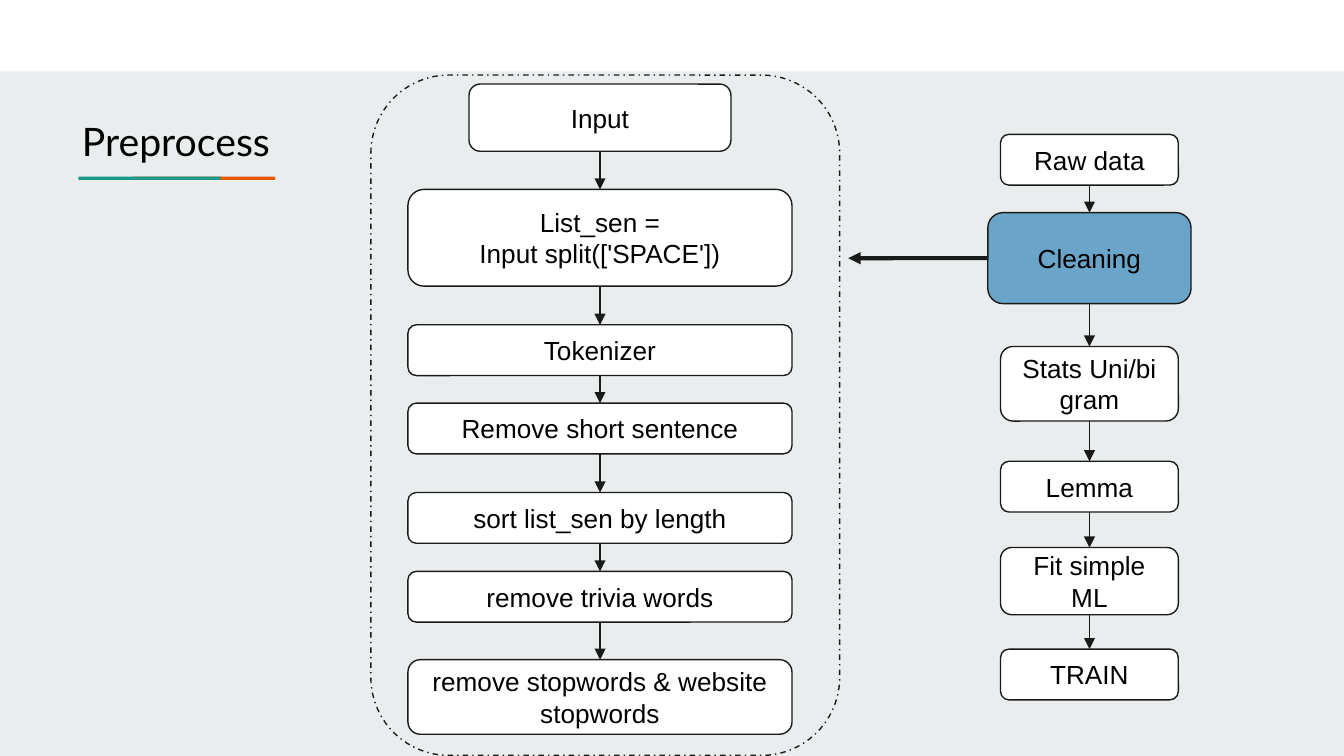
from dataclasses import dataclass

from lxml import etree
from pptx import Presentation
from pptx.dml.color import RGBColor
from pptx.enum.dml import MSO_LINE
from pptx.enum.shapes import MSO_CONNECTOR, MSO_SHAPE
from pptx.enum.text import MSO_ANCHOR, MSO_AUTO_SIZE, PP_ALIGN
from pptx.oxml.ns import qn
from pptx.util import Cm, Pt

RECT = MSO_SHAPE.RECTANGLE
ROUNDED = MSO_SHAPE.ROUNDED_RECTANGLE
STRAIGHT = MSO_CONNECTOR.STRAIGHT
DASH_DOT = MSO_LINE.DASH_DOT
MIDDLE = MSO_ANCHOR.MIDDLE
CENTER, LEFT = PP_ALIGN.CENTER, PP_ALIGN.LEFT
GROW = MSO_AUTO_SIZE.SHAPE_TO_FIT_TEXT

# Connection sites of a rounded rectangle
TOP_SITE, LEFT_SITE, BOTTOM_SITE = 0, 1, 2


@dataclass(frozen=True)
class Theme:
    background: str = "E9EDEE"
    white: str = "FFFFFF"
    ink: str = "1A1A1A"
    text: str = "000000"
    teal: str = "1A9988"
    orange: str = "EB5600"
    blue: str = "6AA4C8"
    title_font: str = "Lato"
    body_font: str = "Arial"
    title_size: float = 21
    body_size: float = 14
    thin: float = 0.75
    thick: float = 2.25
    inset: float = 0.25


@dataclass(frozen=True)
class Step:
    """One box of a flow; lengths in centimetres."""
    text: str
    top: float
    height: float
    width: float
    fill: str


THEME = Theme()
MAIN_CENTER, MAIN_WIDTH = 11.34, 7.26
SIDE_CENTER, SIDE_WIDTH = 20.59, 3.36
ROW = 0.96

CLEANING_STEPS = [
    Step("Input", 1.59, 1.27, 4.95, THEME.white),
    Step("List_sen =\nInput split(['SPACE'])", 3.58, 1.83, MAIN_WIDTH, THEME.white),
    Step("Tokenizer", 6.14, ROW, MAIN_WIDTH, THEME.white),
    Step("Remove short sentence", 7.62, ROW, MAIN_WIDTH, THEME.white),
    Step("sort list_sen by length", 9.31, ROW, MAIN_WIDTH, THEME.white),
    Step("remove trivia words", 10.8, ROW, MAIN_WIDTH, THEME.white),
    Step("remove stopwords & website stopwords", 12.47, 1.41, MAIN_WIDTH, THEME.white),
]
PIPELINE_STEPS = [
    Step("Raw data", 2.54, ROW, SIDE_WIDTH, THEME.white),
    Step("Cleaning", 4.02, 1.72, 3.84, THEME.blue),
    Step("Stats Uni/bi gram", 6.55, 1.41, SIDE_WIDTH, THEME.white),
    Step("Lemma", 8.72, ROW, SIDE_WIDTH, THEME.white),
    Step("Fit simple ML", 10.35, 1.27, SIDE_WIDTH, THEME.white),
    Step("TRAIN", 12.27, ROW, SIDE_WIDTH, THEME.white),
]


def rgb(color: str) -> RGBColor:
    return RGBColor.from_string(color)


def add_block(s, kind, left: float, top: float, width: float, height: float,
              fill: str | None = None, outlined: bool = False):
    sp = s.shapes.add_shape(kind, Cm(left), Cm(top), Cm(width), Cm(height))
    sp.shadow.inherit = False
    if fill:
        sp.fill.solid()
        sp.fill.fore_color.rgb = rgb(fill)
    else:
        sp.fill.background()
    if outlined:
        sp.line.color.rgb = rgb(THEME.ink)
        sp.line.width = Pt(THEME.thin)
    else:
        sp.line.fill.background()
    return sp


def write_text(sp, text: str, font: str, size: float, align) -> None:
    tf = sp.text_frame
    tf.word_wrap = True
    tf.margin_left = tf.margin_right = Cm(THEME.inset)
    tf.margin_top = tf.margin_bottom = Cm(THEME.inset)
    for i, line in enumerate(text.split("\n")):
        p = tf.add_paragraph() if i else tf.paragraphs[0]
        p.alignment = align
        r = p.add_run()
        r.text = line
        r.font.name = font
        r.font.size = Pt(size)
        r.font.color.rgb = rgb(THEME.text)


def add_step(s, step: Step, center: float):
    sp = add_block(s, ROUNDED, center - step.width / 2, step.top,
                   step.width, step.height, step.fill, outlined=True)
    write_text(sp, step.text, THEME.body_font, THEME.body_size, CENTER)
    sp.text_frame.vertical_anchor = MIDDLE
    return sp


def add_arrow(s, x1: float, y1: float, x2: float, y2: float, width: float):
    line = s.shapes.add_connector(STRAIGHT, Cm(x1), Cm(y1), Cm(x2), Cm(y2))
    line.line.color.rgb = rgb(THEME.ink)
    line.line.width = Pt(width)
    etree.SubElement(line.line._get_or_add_ln(), qn("a:tailEnd"), type="triangle")
    etree.SubElement(line._element.spPr, qn("a:effectLst"))
    return line


def add_flow(s, steps: list[Step], center: float) -> list:
    """Draw a column of steps and link each one to the next."""
    boxes = [add_step(s, step, center) for step in steps]
    for i in range(len(steps) - 1):
        bottom = steps[i].top + steps[i].height
        arrow = add_arrow(s, center, bottom, center, steps[i + 1].top, THEME.thin)
        arrow.begin_connect(boxes[i], BOTTOM_SITE)
        arrow.end_connect(boxes[i + 1], TOP_SITE)
    return boxes


def add_title(s) -> None:
    add_block(s, RECT, 2.51, 3.34, 2.69, 0.06, THEME.orange)
    add_block(s, RECT, 1.48, 3.34, 2.69, 0.06, THEME.teal)
    sp = s.shapes.add_textbox(Cm(1.3), Cm(1.96), Cm(4.45), Cm(1.42))
    write_text(sp, "Preprocess", THEME.title_font, THEME.title_size, LEFT)
    sp.text_frame.auto_size = GROW


def main() -> None:
    prs = Presentation()
    prs.slide_width, prs.slide_height = Cm(25.4), Cm(14.29)
    s = prs.slides.add_slide(prs.slide_layouts[6])
    s.background.fill.solid()
    s.background.fill.fore_color.rgb = rgb(THEME.background)

    add_block(s, RECT, 0, 0, 25.4, 1.35, THEME.white)
    frame = add_block(s, ROUNDED, 7.01, 1.42, 8.86, 12.86, outlined=True)
    frame.line.dash_style = DASH_DOT
    add_title(s)

    add_flow(s, CLEANING_STEPS, MAIN_CENTER)
    pipeline = add_flow(s, PIPELINE_STEPS, SIDE_CENTER)
    detail = add_arrow(s, 18.67, 4.88, 16.03, 4.88, THEME.thick)
    detail.begin_connect(pipeline[1], LEFT_SITE)

    prs.save("out.pptx")


if __name__ == "__main__":
    main()
